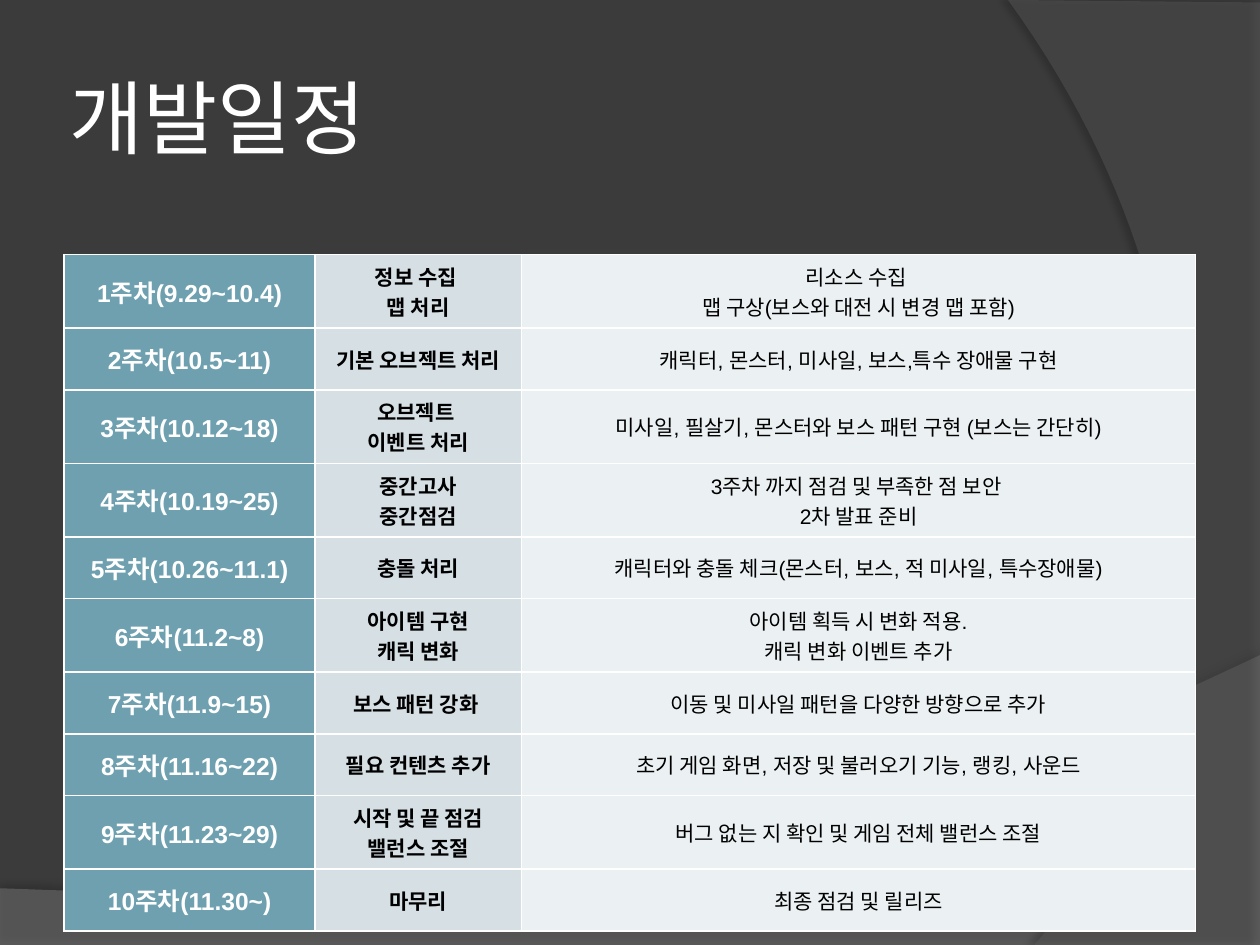
from lxml import etree
from pptx import Presentation
from pptx.dml.color import RGBColor
from pptx.enum import text
from pptx.oxml import parse_xml
from pptx.oxml.ns import nsdecls, qn
from pptx.util import Inches, Pt

COLORS = {
    "background": "3B3B3B", "floor": "7F7F7F", "side": "5E5E5E",
    "white": "FFFFFF", "black": "000000",
    "week": "6EA0B0", "task": "D5DFE4", "detail": "EBF0F2",
}

HEADING = "개발일정"

# Each cell is a list of paragraphs; "\n" is a line break inside one.
SCHEDULE = [
    (["1주차(9.29~10.4)"], ["정보 수집 ", "맵 처리"],
     ["리소스 수집 \n맵 구상(보스와 대전 시 변경 맵 포함)"]),
    (["2주차(10.5~11)"], ["기본 오브젝트 처리"],
     ["캐릭터, 몬스터, 미사일, 보스,특수 장애물 구현"]),
    (["3주차(10.12~18)"], ["오브젝트 ", "이벤트 처리"],
     ["미사일, 필살기, 몬스터와 보스 패턴 구현 (보스는 간단히)"]),
    (["4주차(10.19~25)"], ["중간고사\n중간점검"],
     ["3주차 까지 점검 및 부족한 점 보안 ", "2차 발표 준비"]),
    (["5주차(10.26~11.1)"], ["충돌 처리"],
     ["캐릭터와 충돌 체크(몬스터, 보스, 적 미사일, 특수장애물)"]),
    (["6주차(11.2~8)"], ["아이템 구현", "캐릭 변화"],
     ["아이템 획득 시 변화 적용.", "캐릭 변화 이벤트 추가"]),
    (["7주차(11.9~15)"], ["보스 패턴 강화 "],
     ["이동 및 미사일 패턴을 다양한 방향으로 추가"]),
    (["8주차(11.16~22)"], ["필요 컨텐츠 추가"],
     ["초기 게임 화면, 저장 및 불러오기 기능, 랭킹, 사운드"]),
    (["9주차(11.23~29)"], ["시작 및 끝 점검\n밸런스 조절"],
     ["버그 없는 지 확인 및 게임 전체 밸런스 조절"]),
    (["10주차(11.30~)"], ["마무리"], ["최종 점검 및 릴리즈"]),
]

COLUMNS = [
    {"width": 1.99, "fill": "week", "color": "white", "size": 14, "bold": True},
    {"width": 1.64, "fill": "task", "color": "black", "size": 12, "bold": True},
    {"width": 5.35, "fill": "detail", "color": "black", "size": 12, "bold": False},
]
ROW_HEIGHT = 0.49

WAVES = [
    {"curve": [(10, 5.2), (5.59, 7.29), (3.91, 7.19), (0, 7.05)],
     "corners": [(0, 7.5), (10, 7.5)],
     "fill": "floor", "opacity": 45, "shadow": (35, 4, 3.5, 270)},
    {"curve": [(8.21, 7.5), (9.35, 6.19), (10.18, 3), (8, 0)],
     "corners": [(10, 0.02), (10, 7.5)],
     "fill": "side", "opacity": 40, "shadow": (45, 4, 4, 180)},
]


def rgb(name):
    return RGBColor.from_string(COLORS[name])


def bezier(points, steps=60):
    for step in range(steps + 1):
        t = step / steps
        weights = ((1 - t) ** 3, 3 * t * (1 - t) ** 2, 3 * t * t * (1 - t), t ** 3)
        yield tuple(sum(w * p[axis] for w, p in zip(weights, points)) for axis in (0, 1))


def add_wave(slide, wave):
    outline = [(Inches(x), Inches(y)) for x, y in [*bezier(wave["curve"]), *wave["corners"]]]
    builder = slide.shapes.build_freeform(*outline[0])
    builder.add_line_segments(outline[1:], close=True)
    shape = builder.convert_to_shape()
    shape.fill.solid()
    shape.fill.fore_color.rgb = rgb(wave["fill"])
    shape.line.fill.background()
    properties = shape._element.spPr
    fill_color = properties.find(qn("a:solidFill"))[0]
    etree.SubElement(fill_color, qn("a:alpha"), val=str(wave["opacity"] * 1000))
    opacity, blur, distance, angle = wave["shadow"]
    properties.append(parse_xml(
        f'<a:effectLst {nsdecls("a")}><a:outerShdw blurRad="{Pt(blur)}" dist="{Pt(distance)}" '
        f'dir="{angle * 60000}" algn="ctr" rotWithShape="0"><a:srgbClr val="{COLORS["black"]}">'
        f'<a:alpha val="{opacity * 1000}"/></a:srgbClr></a:outerShdw></a:effectLst>'))
    slide.shapes.title._element.addprevious(shape._element)


def add_borders(cell):
    properties = cell._tc.get_or_add_tcPr()
    for index, side in enumerate(("lnL", "lnR", "lnT", "lnB")):
        properties.insert(index, parse_xml(
            f'<a:{side} {nsdecls("a")} w="{Pt(1)}"><a:solidFill>'
            f'<a:srgbClr val="{COLORS["white"]}"/></a:solidFill></a:{side}>'))


def write_run(paragraph, words, font, size, color, bold=False):
    run = paragraph.add_run()
    run.text = words
    run.font.name = font
    run.font.size = Pt(size)
    run.font.bold = bold
    run.font.color.rgb = rgb(color)


def fill_cell(cell, paragraphs, style):
    cell.fill.solid()
    cell.fill.fore_color.rgb = rgb(style["fill"])
    cell.vertical_anchor = text.MSO_ANCHOR.MIDDLE
    add_borders(cell)
    frame = cell.text_frame
    for number, lines in enumerate(paragraphs):
        paragraph = frame.add_paragraph() if number else frame.paragraphs[0]
        paragraph.alignment = text.PP_ALIGN.CENTER
        for position, line in enumerate(lines.split("\n")):
            if position:
                paragraph.add_line_break()
            write_run(paragraph, line, "Arial", style["size"], style["color"], style["bold"])


def add_schedule(slide):
    width = sum(column["width"] for column in COLUMNS)
    schedule = slide.shapes.add_table(
        len(SCHEDULE), len(COLUMNS), Inches(0.51), Inches(2.02),
        Inches(width), Inches(ROW_HEIGHT * len(SCHEDULE))).table
    schedule.first_row = schedule.horz_banding = False
    for column, style in zip(schedule.columns, COLUMNS):
        column.width = Inches(style["width"])
    for row, entry in zip(schedule.rows, SCHEDULE):
        row.height = Inches(ROW_HEIGHT)
        for cell, paragraphs, style in zip(row.cells, entry, COLUMNS):
            fill_cell(cell, paragraphs, style)


def add_heading(slide):
    heading = slide.shapes.title
    heading.left, heading.top = Inches(0.5), Inches(0.3)
    heading.width, heading.height = Inches(8.17), Inches(1.25)
    frame = heading.text_frame
    frame.margin_left = frame.margin_right = Inches(0.05)
    frame.margin_top = frame.margin_bottom = Inches(0.05)
    frame.vertical_anchor = text.MSO_ANCHOR.MIDDLE
    frame.paragraphs[0].alignment = text.PP_ALIGN.LEFT
    write_run(frame.paragraphs[0], HEADING, "Roboto", 46, "white")


def main():
    deck = Presentation()
    deck.slide_width, deck.slide_height = Inches(10), Inches(7.5)
    slide = deck.slides.add_slide(deck.slide_layouts[5])
    slide.background.fill.solid()
    slide.background.fill.fore_color.rgb = rgb("background")
    for wave in WAVES:
        add_wave(slide, wave)
    add_heading(slide)
    add_schedule(slide)
    deck.save("out.pptx")


if __name__ == "__main__":
    main()
